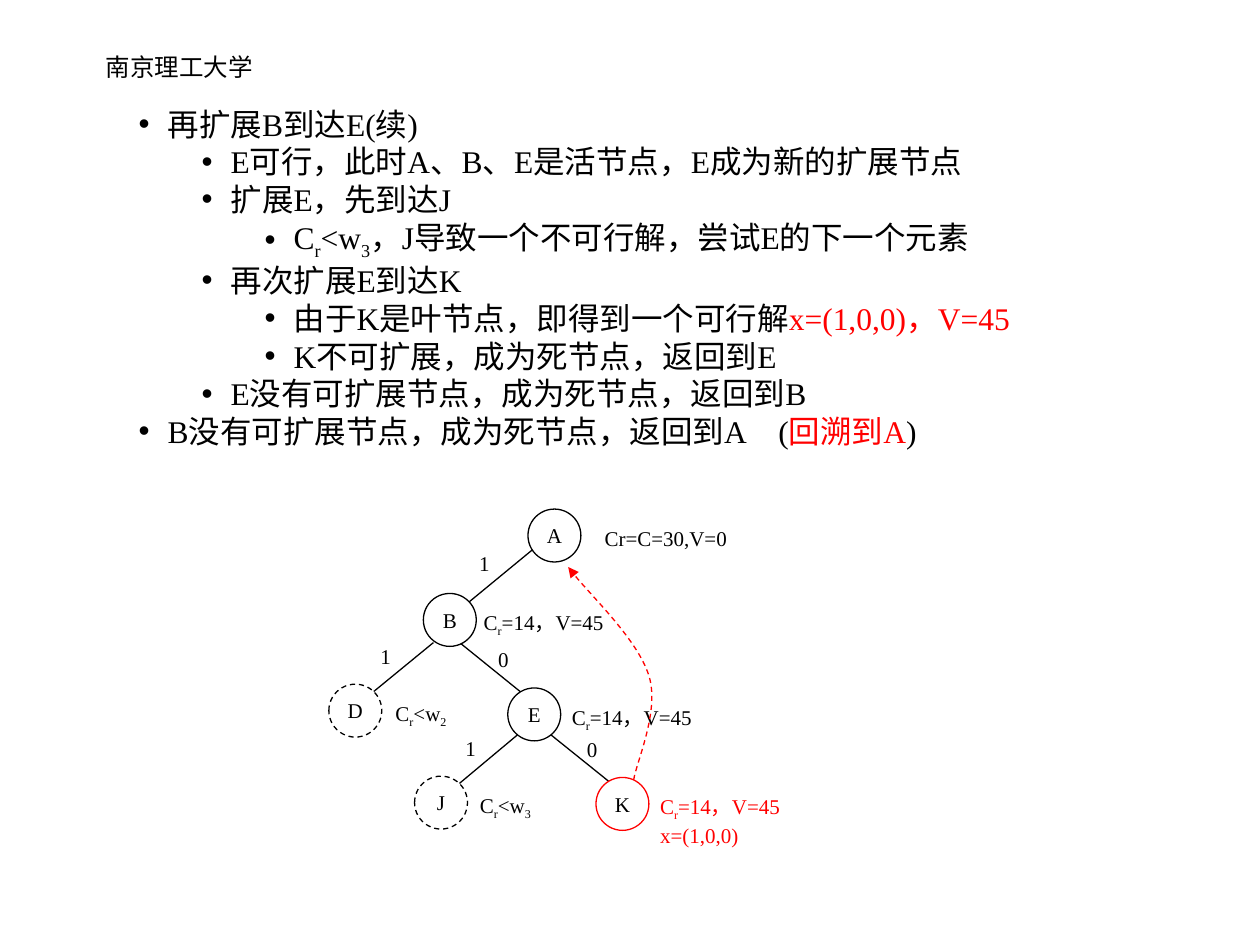
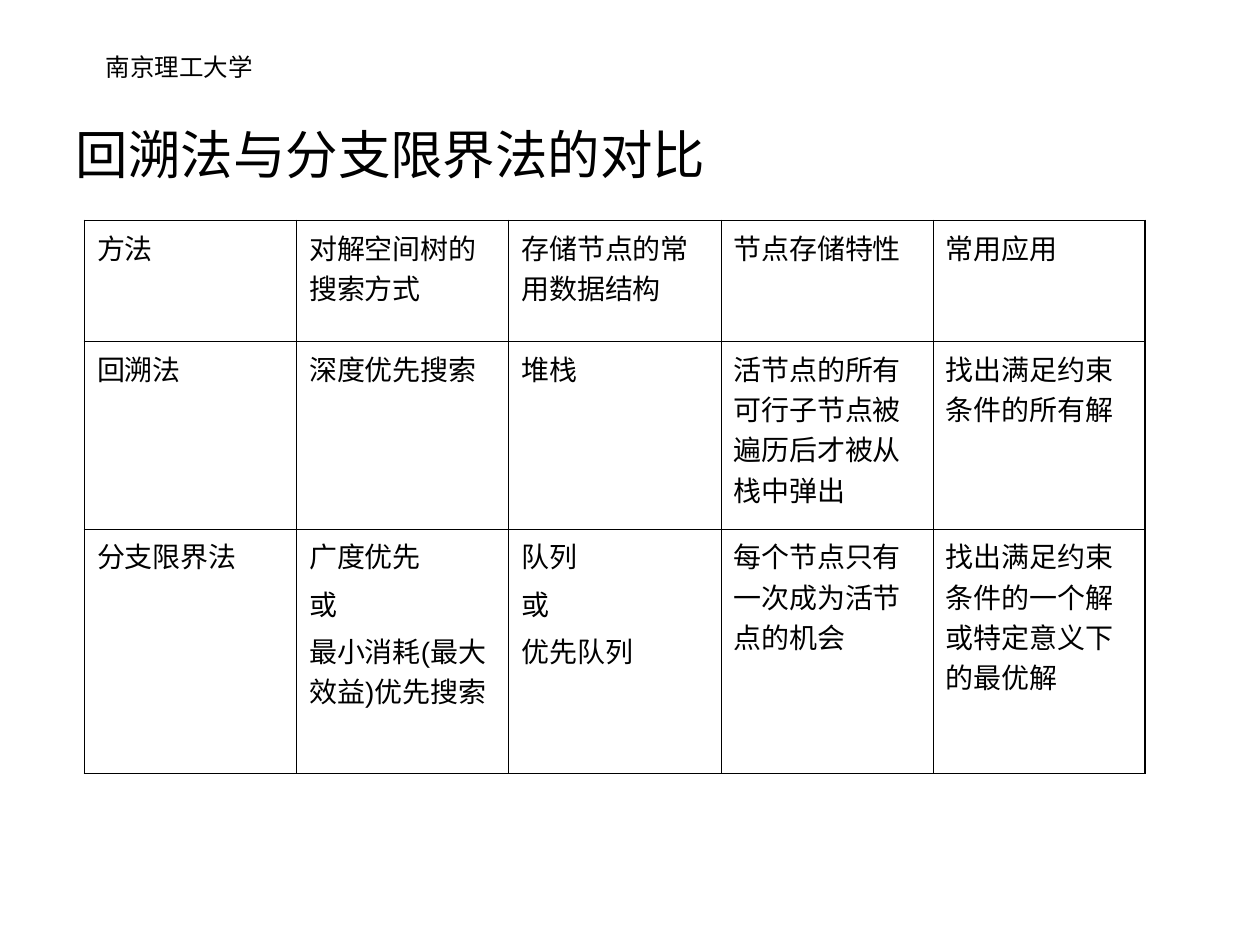
from lxml import etree
from pptx import Presentation
from pptx.dml.color import RGBColor
from pptx.enum import dml, shapes, text
from pptx.oxml import ns
from pptx.util import Emu, Inches, Pt

BLACK = RGBColor(0x00, 0x00, 0x00)
RED = RGBColor(0xFF, 0x00, 0x00)
WHITE = RGBColor(0xFF, 0xFF, 0xFF)
SERIF = "Times New Roman"
SANS = "Arial"

HEADER = "南京理工大学"

# "|" encloses red text, "_" lowers the next character
STEPS = [
    (1, "再扩展B到达E(续)"),
    (2, "E可行，此时A、B、E是活节点，E成为新的扩展节点"),
    (2, "扩展E，先到达J"),
    (3, "C_r<w_3，J导致一个不可行解，尝试E的下一个元素"),
    (2, "再次扩展E到达K"),
    (3, "由于K是叶节点，即得到一个可行解|x=(1,0,0)，V=45|"),
    (3, "K不可扩展，成为死节点，返回到E"),
    (2, "E没有可扩展节点，成为死节点，返回到B"),
    (1, "B没有可扩展节点，成为死节点，返回到A　(|回溯到A|)"),
]

NODE_SIZE = 0.42
SOLID, DEAD, ANSWER = "solid", "dead", "answer"
# name, left, top, state, label, label gap, label width, label height
NODES = [
    ("A", 4.19, 4.04, SOLID, ["Cr=C=30,V=0"], 0.09, 1.2, 0.3),
    ("B", 3.36, 4.71, SOLID, ["C_r=14，V=45"], -0.04, 1.25, 0.33),
    ("D", 2.61, 5.43, DEAD, ["C_r<w_2"], 0.01, 0.66, 0.33),
    ("E", 4.03, 5.46, SOLID, ["C_r=14，V=45"], -0.01, 1.25, 0.33),
    ("J", 3.29, 6.16, DEAD, ["C_r<w_3"], 0, 0.66, 0.33),
    ("K", 4.73, 6.17, ANSWER, ["|C_r=14，V=45|", "|x=(1,0,0)|"], -0.01, 1.25, 0.53),
]
BRANCHES = [
    ((4.23, 4.36), (3.72, 4.78)),
    ((3.44, 5.1), (2.94, 5.51)),
    ((3.66, 5.11), (4.13, 5.49)),
    ((4.11, 5.83), (3.62, 6.24)),
    ((4.37, 5.83), (4.83, 6.2)),
]
BACKTRACK = [(5.03, 6.19), (5.05, 6.05), (5.24, 5.64), (5.15, 5.36),
             (5.06, 5.08), (4.64, 4.68), (4.51, 4.5)]

COMPARISON_TITLE = "回溯法与分支限界法的对比"
COMPARISON = [
    ["方法", "对解空间树的搜索方式", "存储节点的常用数据结构", "节点存储特性", "常用应用"],
    ["回溯法", "深度优先搜索", "堆栈", "活节点的所有可行子节点被遍历后才被从栈中弹出",
     "找出满足约束条件的所有解"],
    ["分支限界法", "广度优先\n或\n最小消耗(最大效益)优先搜索", "队列\n或\n优先队列",
     "每个节点只有一次成为活节点的机会", "找出满足约束条件的一个解或特定意义下的最优解"],
]
ROW_HEIGHTS = [0.96, 1.49, 1.94]
TABLE_WIDTH = 8.42


def place(shape, left, top, width, height):
    shape.left, shape.top = Inches(left), Inches(top)
    shape.width, shape.height = Inches(width), Inches(height)


def set_font(paragraph, name, size):
    paragraph.font.name = name
    paragraph.font.size = Pt(size)
    paragraph.font.color.rgb = BLACK


def write_marked(paragraph, marked):
    for index, part in enumerate(marked.split("|")):
        pieces = part.split("_")
        runs = [(pieces[0], False)]
        for piece in pieces[1:]:
            runs += [(piece[0], True), (piece[1:], False)]
        for words, lowered in runs:
            if not words:
                continue
            run = paragraph.add_run()
            run.text = words
            if index % 2:
                run.font.color.rgb = RED
            if lowered:
                run._r.get_or_add_rPr().set("baseline", "-25000")


def add_text(slide, box, lines, name, size, align=text.PP_ALIGN.LEFT, wrap=False):
    shape = slide.shapes.add_textbox(*map(Inches, box))
    frame = shape.text_frame
    frame.word_wrap = wrap
    for index, line in enumerate(lines):
        paragraph = frame.add_paragraph() if index else frame.paragraphs[0]
        paragraph.alignment = align
        set_font(paragraph, name, size)
        write_marked(paragraph, line)


def add_header(slide):
    add_text(slide, (-0.16, 0.36, 3.17, 0.52), [HEADER], SANS, 14,
             text.PP_ALIGN.CENTER, True)


def style_line(shape, color=BLACK, dashed=False):
    shape.line.color.rgb = color
    shape.line.width = Pt(0.75)
    if dashed:
        shape.line.dash_style = dml.MSO_LINE.DASH


def fill_steps(body):
    place(body, 0.33, 0.83, 10, 2.74)
    frame = body.text_frame
    frame.auto_size = text.MSO_AUTO_SIZE.NONE
    frame.margin_left = frame.margin_right = frame.margin_top = frame.margin_bottom = 0
    for index, (level, step) in enumerate(STEPS):
        paragraph = frame.add_paragraph() if index else frame.paragraphs[0]
        paragraph.level = level
        paragraph.space_before = Pt(0)
        properties = paragraph._p.get_or_add_pPr()
        properties.set("marL", str(Inches(0.5 + level / 2)))
        properties.set("indent", str(-Inches(0.23)))
        etree.SubElement(properties, ns.qn("a:buFont")).set("typeface", SANS)
        etree.SubElement(properties, ns.qn("a:buChar")).set("char", "•")
        set_font(paragraph, SERIF, 18)
        write_marked(paragraph, step)


def add_branch(slide, start, end):
    line = slide.shapes.add_connector(shapes.MSO_CONNECTOR.STRAIGHT,
                                      *map(Inches, start + end))
    style_line(line)
    etree.SubElement(line._element.spPr, ns.qn("a:effectLst"))
    leftward = end[0] < start[0]
    dx, dy = (-0.27, -0.25) if leftward else (-0.04, -0.22)
    middle_x, middle_y = (start[0] + end[0]) / 2, (start[1] + end[1]) / 2
    add_text(slide, (middle_x + dx, middle_y + dy, 0.28, 0.3),
             ["1" if leftward else "0"], SERIF, 12)


def add_node(slide, name, left, top, state, label, gap, width, height):
    node = slide.shapes.add_shape(shapes.MSO_SHAPE.OVAL, *map(
        Inches, (left, top, NODE_SIZE, NODE_SIZE)))
    node.shadow.inherit = False
    node.fill.solid()
    node.fill.fore_color.rgb = WHITE
    style_line(node, RED if state == ANSWER else BLACK, state == DEAD)
    frame = node.text_frame
    frame.word_wrap = False
    frame.vertical_anchor = text.MSO_ANCHOR.MIDDLE
    paragraph = frame.paragraphs[0]
    paragraph.text = name
    paragraph.alignment = text.PP_ALIGN.CENTER
    set_font(paragraph, SERIF, 12)
    add_text(slide, (left + NODE_SIZE + gap, top + 0.08, width, height),
             label, SERIF, 12)


def add_backtrack(slide):
    points = [(Inches(x), Inches(y)) for x, y in BACKTRACK]
    builder = slide.shapes.build_freeform(*points[0])
    builder.add_line_segments(points[1:], close=False)
    curve = builder.convert_to_shape()
    outline = curve._element.find(".//" + ns.qn("a:path"))
    segments = outline.findall(ns.qn("a:lnTo"))
    for first in range(0, len(segments), 3):
        bezier = etree.SubElement(outline, ns.qn("a:cubicBezTo"))
        for segment in segments[first:first + 3]:
            bezier.append(segment[0])
            outline.remove(segment)
    curve.shadow.inherit = False
    curve.fill.background()
    style_line(curve, RED, True)
    arrow = etree.SubElement(curve.line._get_or_add_ln(), ns.qn("a:tailEnd"))
    arrow.set("type", "triangle")


def set_borders(cell, row, column):
    outer = {"L": column == 0, "R": column == len(COMPARISON[0]) - 1,
             "T": row == 0, "B": row == len(COMPARISON) - 1}
    properties = cell._tc.get_or_add_tcPr()
    for side, is_outer in outer.items():
        border = etree.SubElement(properties, ns.qn("a:ln" + side))
        border.set("w", str(Pt(1.08 if is_outer else 0.45)))
        solid = etree.SubElement(border, ns.qn("a:solidFill"))
        etree.SubElement(solid, ns.qn("a:srgbClr")).set("val", str(BLACK))


def add_comparison(slide):
    columns = len(COMPARISON[0])
    table = slide.shapes.add_table(
        len(COMPARISON), columns, Inches(0.67), Inches(1.75),
        Inches(TABLE_WIDTH), Inches(sum(ROW_HEIGHTS))).table
    table.first_row = table.horz_banding = False
    for column in table.columns:
        column.width = Emu(Inches(TABLE_WIDTH) // columns)
    for row, (height, entries) in enumerate(zip(ROW_HEIGHTS, COMPARISON)):
        table.rows[row].height = Inches(height)
        for column, entry in enumerate(entries):
            cell = table.cell(row, column)
            set_borders(cell, row, column)
            cell.fill.background()
            cell.text = entry
            for index, paragraph in enumerate(cell.text_frame.paragraphs):
                if index:
                    paragraph.space_before = Pt(4)
                set_font(paragraph, SANS, 16)


def build_search_slide(presentation):
    slide = presentation.slides.add_slide(presentation.slide_layouts[1])
    title = slide.shapes.title._element
    title.getparent().remove(title)
    add_header(slide)
    fill_steps(slide.placeholders[1])
    for start, end in BRANCHES:
        add_branch(slide, start, end)
    for node in NODES:
        add_node(slide, *node)
    add_backtrack(slide)


def build_comparison_slide(presentation):
    slide = presentation.slides.add_slide(presentation.slide_layouts[5])
    add_header(slide)
    add_comparison(slide)
    title = slide.shapes.title
    place(title, 0.5, 0.59, 9, 1.25)
    frame = title.text_frame
    frame.auto_size = text.MSO_AUTO_SIZE.NONE
    frame.vertical_anchor = text.MSO_ANCHOR.MIDDLE
    paragraph = frame.paragraphs[0]
    paragraph.text = COMPARISON_TITLE
    paragraph.alignment = text.PP_ALIGN.LEFT
    set_font(paragraph, SERIF, 30)


def main():
    presentation = Presentation()
    presentation.slide_width, presentation.slide_height = Inches(10), Inches(7.5)
    build_search_slide(presentation)
    build_comparison_slide(presentation)
    presentation.save("out.pptx")


if __name__ == "__main__":
    main()
